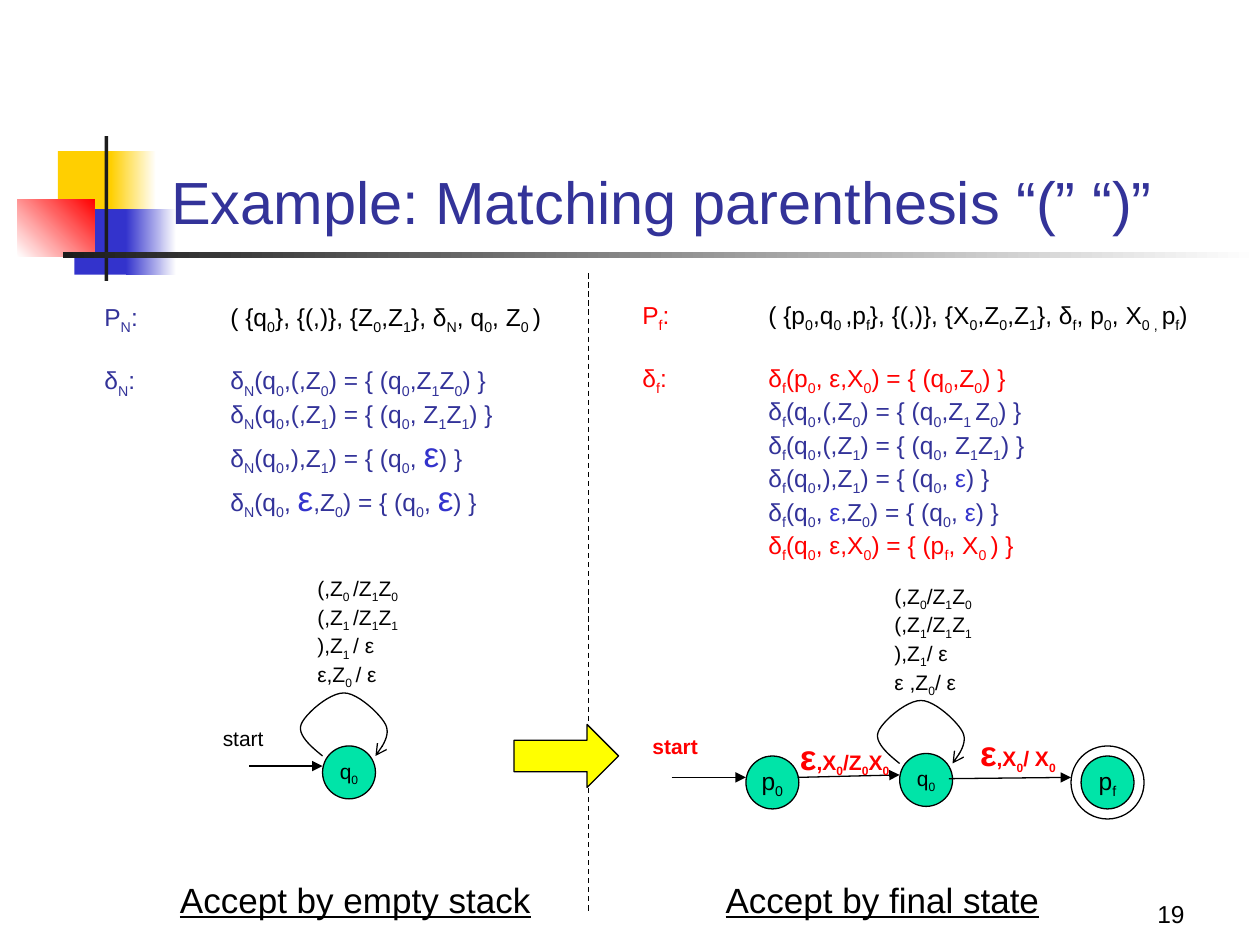
"""Build a slide comparing acceptance by empty stack and by final state."""
import pptx
import pptx.util
import pptx.dml.color
import pptx.enum.dml
import pptx.enum.shapes
import pptx.enum.text
import pptx.oxml.ns
import lxml.etree

SHAPE = pptx.enum.shapes.MSO_SHAPE
ALIGN = pptx.enum.text.PP_ALIGN
ANCHOR = pptx.enum.text.MSO_ANCHOR
FONT = "Arial"
BLACK, RED, NAVY, BLUE = "000000", "FF0000", "333399", "3333CC"
GREEN, YELLOW, GOLD, DARK, WHITE = "00E4A8", "FFFF00", "FFCF01", "1C1C1C", "FFFFFF"

TITLE = "Example: Matching parenthesis “(” “)”"
DECORATION = [
    (0.46, 1.2, 0.48, 0.52, [GOLD], 0),
    (0.88, 1.2, 0.36, 0.52, [GOLD, WHITE], 0),
    (0.59, 1.66, 0.46, 0.52, [BLUE], 0),
    (1, 1.66, 0.4, 0.52, [BLUE, WHITE], 0),
    (0.14, 1.58, 0.61, 0.46, [WHITE, RED], 45),
    (0.83, 1.08, 0.03, 1.15, [DARK], 0),
    (0.5, 2, 9.5, 0.05, [DARK, WHITE], 0),
]

# Text between bars is subscript; a piece is (text, colour, size).
EPS, BIG_EPS = ("ε", BLUE, 14), ("ε", BLUE, 20)
EMPTY_STACK_RULES = [
    (NAVY, ["P|N|:\t", ("( {q|0|}, {(,)}, {Z|0|,Z|1|}, δ|N|, q|0|, Z|0 |)", BLACK, 14)]),
    (NAVY, ["δ|N|:\tδ|N|(q|0|,(,Z|0|) = { (q|0|,Z|1|Z|0|) }"]),
    (NAVY, ["\tδ|N|(q|0|,(,Z|1|) = { (q|0|, Z|1|Z|1|) }"]),
    (NAVY, ["\tδ|N|(q|0|,),Z|1|) = { (q|0|, ", BIG_EPS, ") }"]),
    (NAVY, ["\tδ|N|(q|0|, ", BIG_EPS, ",Z|0|) = { (q|0|, ", BIG_EPS, ") }"]),
]
FINAL_STATE_RULES = [
    (RED, ["P|f|:\t", ("( {p|0|,q|0 |,p|f|}, {(,)}, {X|0|,Z|0|,Z|1|}, δ|f|, p|0|, X|0 , |p|f|)",
                       BLACK, 14)]),
    (RED, ["δ|f|:\tδ|f|(p|0|, ε,X|0|) = { (q|0|,Z|0|) }"]),
    (NAVY, ["\tδ|f|(q|0|,(,Z|0|) = { (q|0|,Z|1 |Z|0|) }"]),
    (NAVY, ["\tδ|f|(q|0|,(,Z|1|) = { (q|0|, Z|1|Z|1|) }"]),
    (NAVY, ["\tδ|f|(q|0|,),Z|1|) = { (q|0|, ", EPS, ") }"]),
    (NAVY, ["\tδ|f|(q|0|, ", EPS, ",Z|0|) = { (q|0|, ", EPS, ") }"]),
    (RED, ["\tδ|f|(q|0|, ε,X|0|) = { (p|f|, X|0 |) }"]),
]
RULE_BOXES = [
    (0.73, 2.35, 3.7, 1.7, EMPTY_STACK_RULES, False),
    (5, 2.33, 4.67, 1.99, FINAL_STATE_RULES, True),
]
LOOPS = [
    (2.56, 5.92, ["(,Z|0 |/Z|1|Z|0|", "(,Z|1 |/Z|1|Z|1|", "),Z|1 |/ ε", "ε,Z|0 |/ ε"]),
    (7.14, 5.98, ["(,Z|0|/Z|1|Z|0|", "(,Z|1|/Z|1|Z|1|", "),Z|1|/ ε", "ε ,Z|0|/ ε"]),
]
LOOP_CURVE = [(0, 0.08), (-0.1, 0), (-0.2, -0.09), (-0.17, -0.17), (-0.14, -0.25),
              (0.05, -0.42), (0.17, -0.42), (0.28, -0.42), (0.46, -0.25), (0.5, -0.17),
              (0.54, -0.09), (0.48, 0), (0.42, 0.08)]
STATES = [(2.56, 5.92, "q|0|", 12), (7.14, 5.98, "q|0|", 12),
          (5.92, 6, "p|0|", 14), (8.58, 6, "p|f|", 14)]
STATE_SIZE, RING_GAP = 0.42, 0.08
ARROWS = [(1.98, 6.08, 2.56, 6.08), (5.33, 6.17, 5.92, 6.17),
          (6.33, 6.17, 7.14, 6.15), (7.53, 6.18, 8.5, 6.17)]
RED_EPS = ("ε", RED, 20)
LABELS = [
    (1.67, 5.71, 0.53, 0.3, [(BLACK, ["start"])], 12, {}),
    (5.08, 5.77, 0.56, 0.3, [(RED, ["start"])], 12, {"bold": True}),
    (6.25, 5.79, 0.94, 0.44, [(RED, [RED_EPS, ",X|0|/Z|0|X|0|"])], 12, {"bold": True}),
    (7.68, 5.76, 0.9, 0.44, [(RED, [RED_EPS, ",X|0|/ X|0|"])], 12, {"bold": True}),
    (1.33, 6.92, 3, 0.44, [(BLACK, ["Accept by empty stack"])], 20, {"underline": True}),
    (5.66, 6.92, 2.71, 0.44, [(BLACK, ["Accept by final state"])], 20, {"underline": True}),
]


def inches(*values):
    return [pptx.util.Inches(v) for v in values]


def rgb(value):
    return pptx.dml.color.RGBColor.from_string(value)


def style(font, size, color, bold=None, underline=None):
    font.name, font.size = FONT, pptx.util.Pt(size)
    font.color.rgb = rgb(color)
    font.bold, font.underline = bold, underline


def add_tab(p, position):
    qn = pptx.oxml.ns.qn
    tabs = lxml.etree.SubElement(p._p.get_or_add_pPr(), qn("a:tabLst"))
    lxml.etree.SubElement(tabs, qn("a:tab"), pos=str(pptx.util.Inches(position)), algn="l")


def write(tf, paragraphs, size, align=ALIGN.LEFT, tab=None, **extra):
    for i, (color, pieces) in enumerate(paragraphs):
        p = tf.paragraphs[0] if i == 0 else tf.add_paragraph()
        p.alignment = align
        if tab:
            add_tab(p, tab)
        style(p.font, size, color, **extra)
        for piece in pieces:
            text, shade, points = (piece, color, size) if isinstance(piece, str) else piece
            for j, part in enumerate(text.split("|")):
                if part:
                    r = p.add_run()
                    r.text = part
                    style(r.font, points, shade, **extra)
                    if j % 2:
                        r.font._element.set("baseline", "-25000")


def add_text(s, box, paragraphs, size, wrap=False, **extra):
    tf = s.shapes.add_textbox(*inches(*box)).text_frame
    tf.word_wrap = wrap
    tf.auto_size = pptx.enum.text.MSO_AUTO_SIZE.SHAPE_TO_FIT_TEXT
    write(tf, paragraphs, size, **extra)
    return tf


def outline(sp, width=0.75):
    sp.line.color.rgb = rgb(BLACK)
    sp.line.width = pptx.util.Pt(width)


def add_shape(s, kind, box, fill=None, lined=True):
    sp = s.shapes.add_shape(kind, *inches(*box))
    sp.shadow.inherit = False
    if fill:
        sp.fill.solid()
        sp.fill.fore_color.rgb = rgb(fill)
    else:
        sp.fill.background()
    if lined:
        outline(sp)
    else:
        sp.line.fill.background()
    return sp


def add_head(sp, kind):
    lxml.etree.SubElement(sp.line._get_or_add_ln(), pptx.oxml.ns.qn("a:tailEnd"), type=kind)


def add_line(s, ends):
    c = s.shapes.add_connector(pptx.enum.shapes.MSO_CONNECTOR.STRAIGHT, *inches(*ends))
    outline(c)
    lxml.etree.SubElement(c._element.spPr, pptx.oxml.ns.qn("a:effectLst"))
    return c


def curve_points(knots, steps=12):
    points = [knots[0]]
    for i in range(0, len(knots) - 1, 3):
        for n in range(1, steps + 1):
            t = n / steps
            weights = ((1 - t) ** 3, 3 * t * (1 - t) ** 2, 3 * t * t * (1 - t), t ** 3)
            points.append(tuple(sum(w * k[axis] for w, k in zip(weights, knots[i:i + 4]))
                                for axis in (0, 1)))
    return points


def add_loop(s, left, top):
    points = [inches(left + x, top + y) for x, y in curve_points(LOOP_CURVE)]
    builder = s.shapes.build_freeform(*points[0])
    builder.add_line_segments(points[1:], close=False)
    sp = builder.convert_to_shape()
    sp.shadow.inherit = False
    sp.fill.background()
    outline(sp)
    add_head(sp, "arrow")


def main():
    prs = pptx.Presentation()
    prs.slide_width, prs.slide_height = inches(10, 7.5)
    s = prs.slides.add_slide(prs.slide_layouts[5])

    for *box, colors, angle in DECORATION:
        sp = add_shape(s, SHAPE.RECTANGLE, box, colors[0], lined=False)
        if len(colors) > 1:
            sp.fill.gradient()
            sp.fill.gradient_angle = angle
            for stop, color in zip(sp.fill.gradient_stops, colors):
                stop.color.rgb = rgb(color)

    title = s.shapes.title
    title.left, title.top, title.width, title.height = inches(1.26, 0.68, 8.52, 1.25)
    title.text_frame.vertical_anchor = ANCHOR.BOTTOM
    write(title.text_frame, [(NAVY, [TITLE])], 34)
    s.shapes._spTree.append(title._element)

    add_line(s, (4.67, 2.17, 4.67, 7.25)).line.dash_style = pptx.enum.dml.MSO_LINE.DASH
    for *box, rules, wrap in RULE_BOXES:
        tf = add_text(s, box, rules, 14, wrap, tab=1)
        tf.paragraphs[1].space_before = pptx.util.Pt(17)

    for left, top, lines in LOOPS:
        add_loop(s, left, top)
        add_text(s, (left - 0.14, top - 1.4, 0.88, 0.91), [(BLACK, [t]) for t in lines], 12)
    left, top = STATES[-1][:2]
    ring = STATE_SIZE + 2 * RING_GAP
    add_shape(s, SHAPE.OVAL, (left - RING_GAP, top - RING_GAP, ring, ring))
    for left, top, name, size in STATES:
        sp = add_shape(s, SHAPE.OVAL, (left, top, STATE_SIZE, STATE_SIZE), GREEN)
        sp.text_frame.word_wrap = False
        sp.text_frame.vertical_anchor = ANCHOR.MIDDLE
        write(sp.text_frame, [(BLACK, [name])], size, ALIGN.CENTER)
    for ends in ARROWS:
        add_head(add_line(s, ends), "triangle")

    add_shape(s, SHAPE.RIGHT_ARROW, (4.08, 5.75, 0.83, 0.5), YELLOW)
    for *box, paragraphs, size, extra in LABELS:
        add_text(s, box, paragraphs, size, **extra)
    tf = add_text(s, (7.42, 6.92, 2.08, 0.5), [(BLACK, ["19"])], 14, True, align=ALIGN.RIGHT)
    tf.auto_size = pptx.enum.text.MSO_AUTO_SIZE.NONE
    tf.vertical_anchor = ANCHOR.BOTTOM
    prs.save("out.pptx")


if __name__ == "__main__":
    main()
